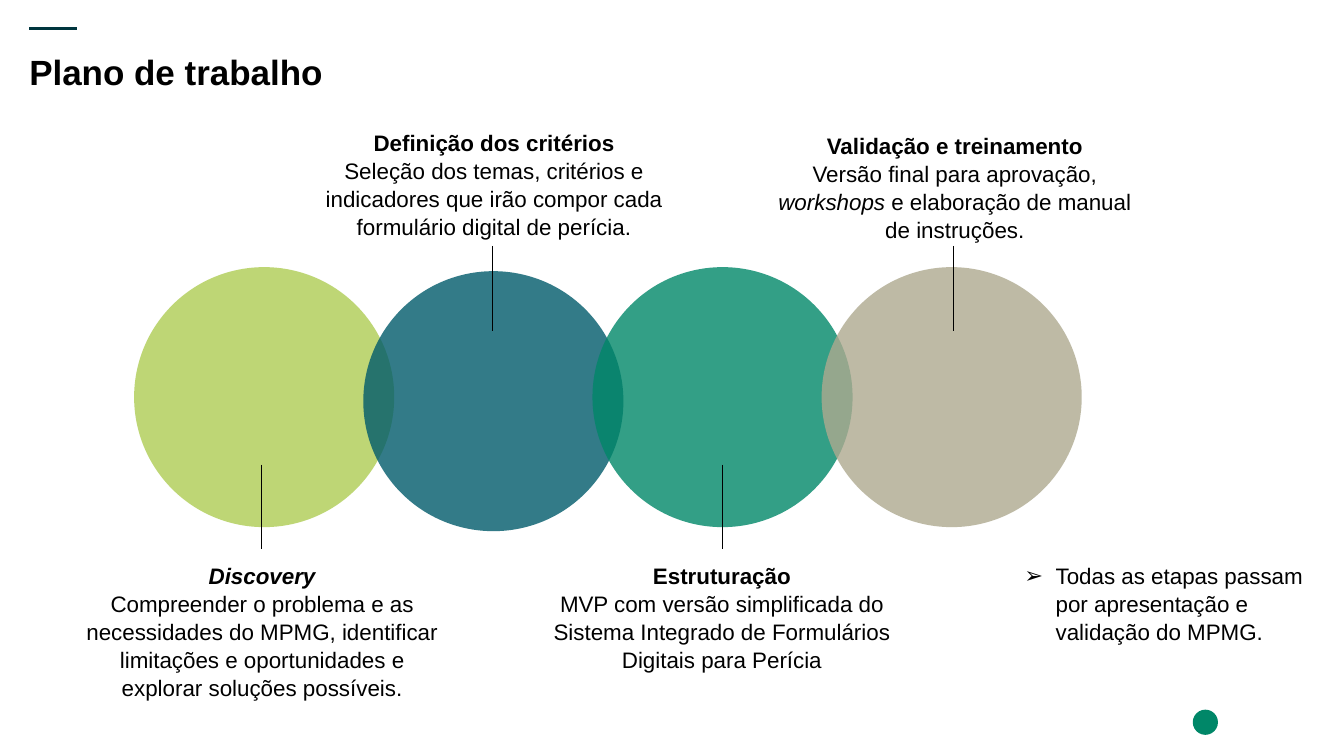
from lxml import etree
from pptx import Presentation
from pptx.dml.color import RGBColor
from pptx.enum.shapes import MSO_CONNECTOR as CONNECTOR, MSO_SHAPE as SHAPE
from pptx.enum.text import MSO_ANCHOR as ANCHOR, MSO_AUTO_SIZE as AUTO_SIZE, PP_ALIGN as ALIGN
from pptx.oxml.ns import qn
from pptx.util import Inches, Pt

BLACK = RGBColor(0x00, 0x00, 0x00)
DARK_TEAL = RGBColor(0x00, 0x35, 0x3E)
LIME = RGBColor(0xAE, 0xCC, 0x53)
PETROL = RGBColor(0x00, 0x5B, 0x6B)
GREEN = RGBColor(0x00, 0x87, 0x68)
SAND = RGBColor(0xAE, 0xA9, 0x8F)

# Content
TITLE = "Plano de trabalho"
BOLD, ITALIC, PLAIN = {"bold": True}, {"italic": True}, {}
# Each stage: colour, circle top, line x, line top, text left, text top, text height, paragraphs
STAGES = [
    (LIME, 2.65, 2.59, 4.61, 0.83, 5.57, 1.62, [
        [("Discovery", BOLD | ITALIC)],
        [("Compreender o problema e as necessidades do MPMG, identificar "
          "limitações e oportunidades e explorar soluções possíveis.", PLAIN)]]),
    (PETROL, 2.69, 4.88, 2.44, 3.13, 1.27, 1.08, [
        [("Definição dos critérios", BOLD)],
        [("Seleção dos temas, critérios e indicadores que irão compor cada "
          "formulário digital de perícia.", PLAIN)]]),
    (GREEN, 2.65, 7.16, 4.61, 5.39, 5.57, 1.08, [
        [("Estruturação", BOLD)],
        [("MVP com versão simplificada do Sistema Integrado de Formulários "
          "Digitais para Perícia", PLAIN)]]),
    (SAND, 2.65, 9.46, 2.44, 7.7, 1.3, 1.08, [
        [("Validação e treinamento", BOLD)],
        [("Versão final para aprovação, ", PLAIN), ("workshops", ITALIC),
         (" e elaboração de manual de instruções.", PLAIN)]]),
]
NOTE = [[("Todas as etapas passam por apresentação e validação do MPMG.", PLAIN)]]

# Layout
CIRCLE_LEFT, CIRCLE_STEP, CIRCLE_SIZE, CIRCLE_ALPHA = 1.33, 2.273, 2.58, 80
LINE_LENGTH, TEXT_WIDTH = 0.84, 3.54
LINE_SPACING = 1.04

presentation = Presentation()
presentation.slide_width, presentation.slide_height = Inches(13.33), Inches(7.5)
slide = presentation.slides.add_slide(presentation.slide_layouts[5])


def set_frame(frame):
    frame.word_wrap = True
    frame.auto_size = AUTO_SIZE.NONE
    frame.vertical_anchor = ANCHOR.TOP
    for side in ("left", "right", "top", "bottom"):
        setattr(frame, f"margin_{side}", 0)


def add_run(paragraph, text, size, style):
    run = paragraph.add_run()
    run.text = text
    run.font.color.rgb = BLACK
    for name, value in ({"name": "Arial", "size": Pt(size)} | style).items():
        setattr(run.font, name, value)


def add_text(left, top, width, height, paragraphs, align=ALIGN.CENTER):
    box = slide.shapes.add_textbox(*map(Inches, (left, top, width, height)))
    frame = box.text_frame
    set_frame(frame)
    for index, runs in enumerate(paragraphs):
        paragraph = frame.add_paragraph() if index else frame.paragraphs[0]
        paragraph.alignment = align
        paragraph.line_spacing = LINE_SPACING
        for text, style in runs:
            add_run(paragraph, text, 16, style)
    return box


def add_line(x1, y1, x2, y2, color, width):
    line = slide.shapes.add_connector(CONNECTOR.STRAIGHT, *map(Inches, (x1, y1, x2, y2)))
    line.line.color.rgb = color
    line.line.width = Pt(width)
    etree.SubElement(line.element.spPr, qn("a:effectLst"))


def add_circle(left, top, size, color):
    circle = slide.shapes.add_shape(SHAPE.OVAL, *map(Inches, (left, top, size, size)))
    circle.shadow.inherit = False
    circle.fill.solid()
    circle.fill.fore_color.rgb = color
    circle.line.fill.background()
    return circle


# Title with accent line
add_line(0.29, 0.28, 0.76, 0.28, DARK_TEAL, 2)
title = slide.shapes.title
title.left, title.top, title.width, title.height = map(Inches, (0.29, 0.48, 12.75, 0.71))
set_frame(title.text_frame)
heading = title.text_frame.paragraphs[0]
heading.alignment = ALIGN.LEFT
heading.line_spacing = LINE_SPACING
add_run(heading, TITLE, 25, BOLD)

# Overlapping translucent circles
for index, (color, circle_top, *_) in enumerate(STAGES):
    circle = add_circle(CIRCLE_LEFT + index * CIRCLE_STEP, circle_top, CIRCLE_SIZE, color)
    color_element = circle.element.spPr.find(qn("a:solidFill"))[0]
    etree.SubElement(color_element, qn("a:alpha"), val=str(CIRCLE_ALPHA * 1000))

# Stage descriptions and their leader lines
for _, _, line_x, line_top, left, top, height, paragraphs in STAGES:
    add_text(left, top, TEXT_WIDTH, height, paragraphs)
    add_line(line_x, line_top, line_x, line_top + LINE_LENGTH, BLACK, 0.5)

# Bulleted note
note = add_text(10.16, 5.57, 2.88, 0.81, NOTE, ALIGN.LEFT)
properties = note.text_frame.paragraphs[0]._p.get_or_add_pPr()
properties.set("marL", str(Inches(0.31)))
properties.set("indent", str(-Inches(0.31)))
etree.SubElement(properties, qn("a:buFont"), typeface="Arial")
etree.SubElement(properties, qn("a:buChar"), char="➢")

# Footer mark
add_circle(11.83, 7.04, 0.25, GREEN)

presentation.save("out.pptx")
